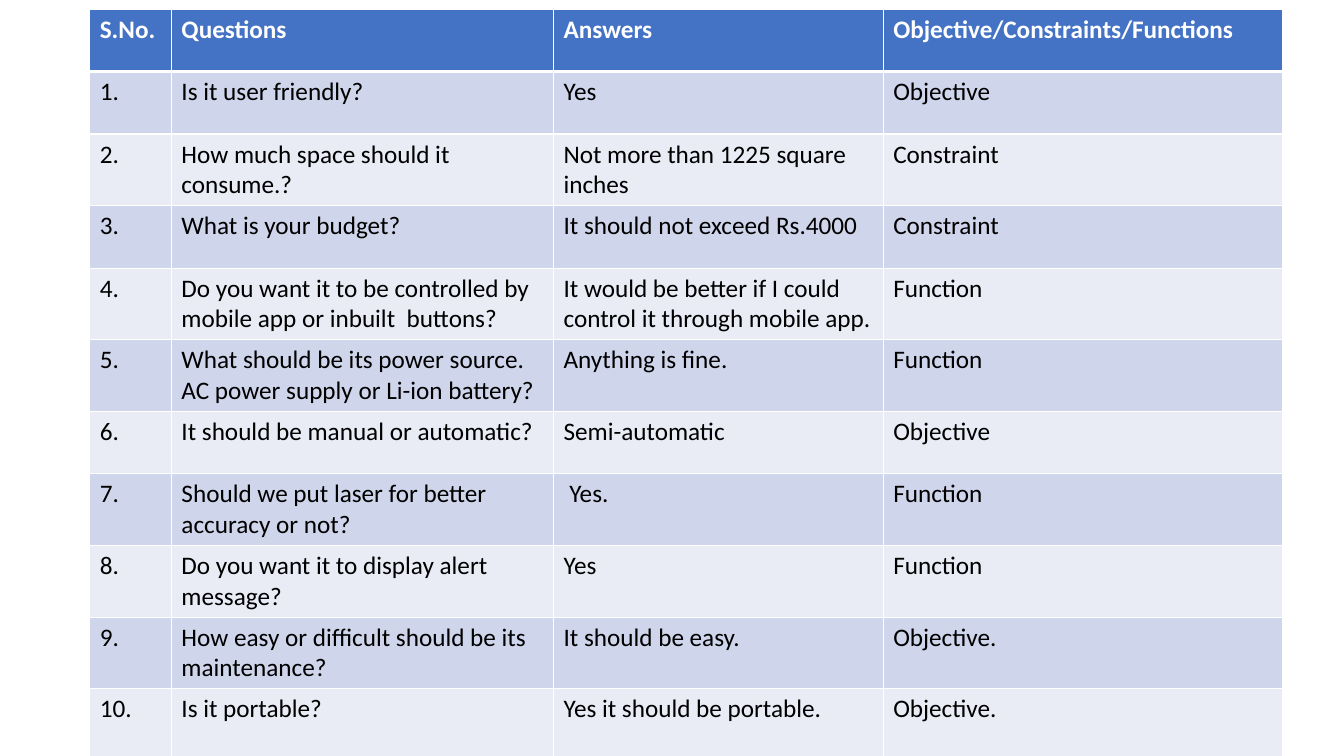
from lxml.etree import SubElement
from pptx import Presentation
from pptx.dml.color import RGBColor
from pptx.oxml.ns import qn
from pptx.util import Inches, Pt

SLIDE_W, SLIDE_H = 13.33, 7.5
LEFT, TOP = 0.89, 0.09
COLUMNS = [0.81, 3.79, 3.27, 3.96]
SHORT_ROW, TALL_ROW = 0.62, 0.7
SHORT_ROWS = {0, 1, 3, 6}

HEADER_FILL = "4472C4"
BAND_FILLS = ["E9EBF5", "CFD5EA"]
WHITE, BLACK = "FFFFFF", "000000"

HEADERS = ("S.No.", "Questions", "Answers", "Objective/Constraints/Functions")
SURVEY = [
    ("Is it user friendly?", "Yes", "Objective"),
    ("How much space should it consume.?", "Not more than 1225 square inches", "Constraint"),
    ("What is your budget?", "It should not exceed Rs.4000", "Constraint"),
    ("Do you want it to be controlled by mobile app or inbuilt  buttons?",
     "It would be better if I could control it through mobile app.", "Function"),
    ("What should be its power source. AC power supply or Li-ion battery?",
     "Anything is fine.", "Function"),
    ("It should be manual or automatic?", "Semi-automatic", "Objective"),
    ("Should we put laser for better accuracy or not?", " Yes.", "Function"),
    ("Do you want it to display alert message?", "Yes", "Function"),
    ("How easy or difficult should be its maintenance?", "It should be easy.", "Objective."),
    ("Is it portable?", "Yes it should be portable.", "Objective."),
]


def color(value):
    return RGBColor.from_string(value)


def add_borders(cell, top, bottom):
    tc_pr = cell._tc.get_or_add_tcPr()
    for side, width in (("L", 1), ("R", 1), ("T", top), ("B", bottom)):
        ln = SubElement(tc_pr, qn(f"a:ln{side}"), w=str(Pt(width)))
        fill = SubElement(ln, qn("a:solidFill"))
        SubElement(fill, qn("a:srgbClr"), val=WHITE)


def write_cell(cell, text, row):
    header = row == 0
    add_borders(cell, 3 if row == 1 else 1, 3 if header else 1)
    cell.fill.solid()
    cell.fill.fore_color.rgb = color(HEADER_FILL if header else BAND_FILLS[row % 2])
    r = cell.text_frame.paragraphs[0].add_run()
    r.text = text
    r.font.name = "Calibri"
    r.font.size = Pt(18)
    r.font.bold = header
    r.font.color.rgb = color(WHITE if header else BLACK)


def add_survey_table(s, rows):
    heights = [SHORT_ROW if i in SHORT_ROWS else TALL_ROW for i in range(len(rows))]
    table = s.shapes.add_table(
        len(rows), len(COLUMNS), Inches(LEFT), Inches(TOP),
        Inches(sum(COLUMNS)), Inches(sum(heights))).table
    for column, width in zip(table.columns, COLUMNS):
        column.width = Inches(width)
    for i, (row, height) in enumerate(zip(rows, heights)):
        table.rows[i].height = Inches(height)
        for j, text in enumerate(row):
            write_cell(table.cell(i, j), text, i)


def main():
    prs = Presentation()
    prs.slide_width, prs.slide_height = Inches(SLIDE_W), Inches(SLIDE_H)
    s = prs.slides.add_slide(prs.slide_layouts[6])
    numbered = [(f"{n}.", *entry) for n, entry in enumerate(SURVEY, 1)]
    add_survey_table(s, [HEADERS, *numbered])
    prs.save("out.pptx")


if __name__ == "__main__":
    main()
